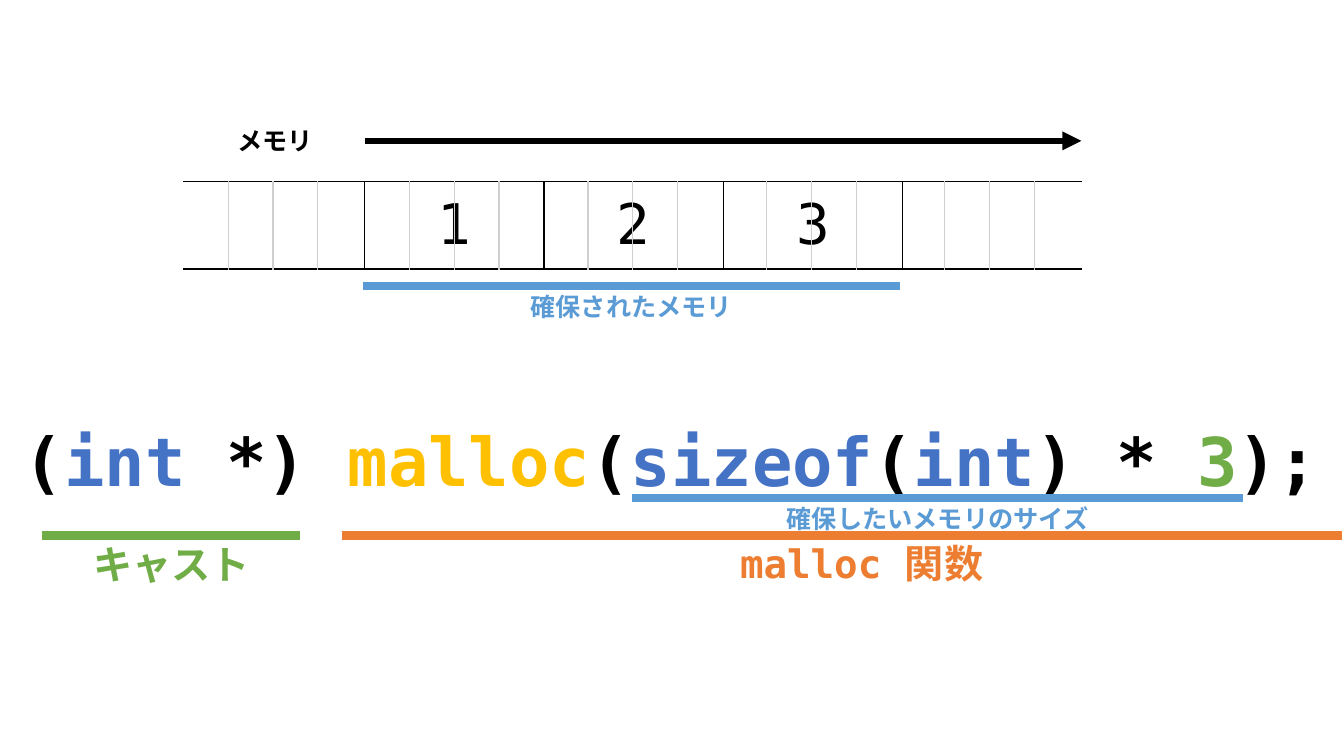
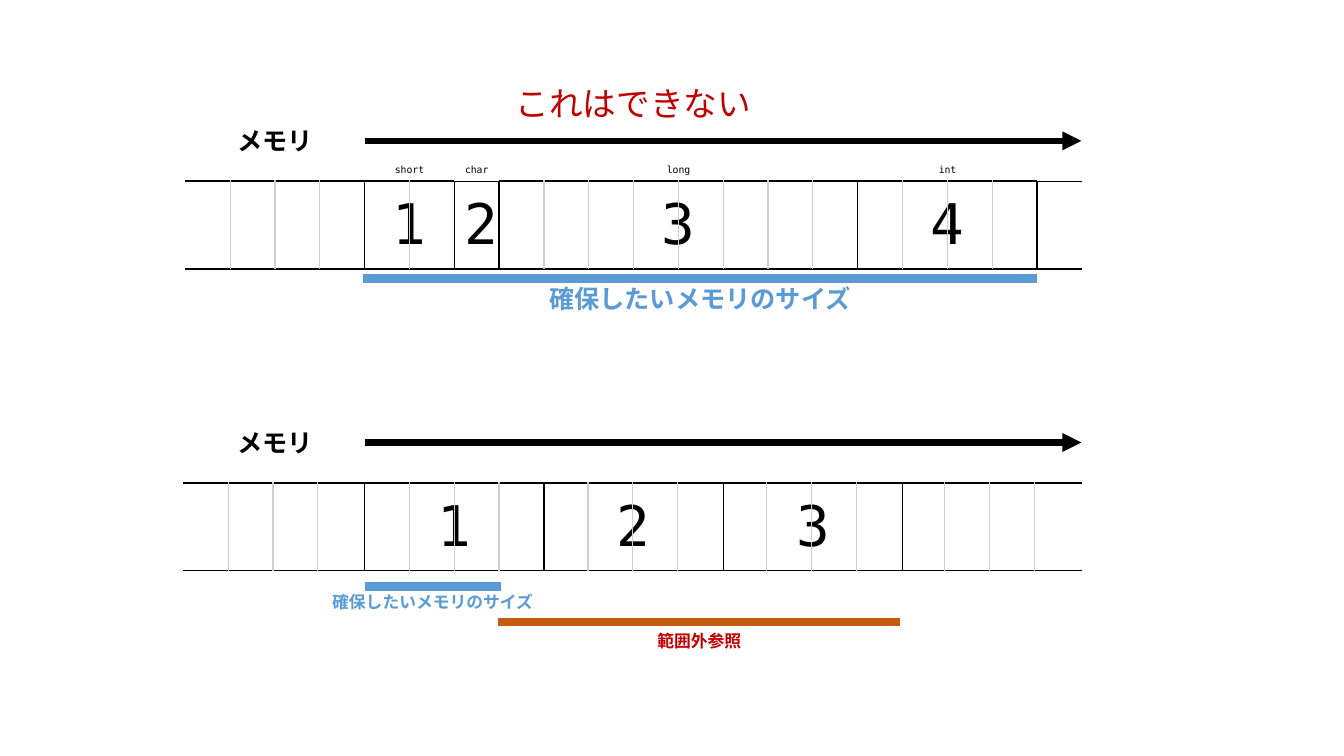
from itertools import accumulate

from lxml import etree
from pptx import Presentation, util as u
from pptx.dml.color import RGBColor
from pptx.enum import shapes, text
from pptx.oxml import ns

BLACK = RGBColor(0x00, 0x00, 0x00)
WHITE = RGBColor(0xFF, 0xFF, 0xFF)
GREY = RGBColor(0xD0, 0xCE, 0xCE)
BLUE = RGBColor(0x5B, 0x9B, 0xD5)
NAVY = RGBColor(0x44, 0x72, 0xC4)
GOLD = RGBColor(0xFF, 0xC0, 0x00)
GREEN = RGBColor(0x70, 0xAD, 0x47)
ORANGE = RGBColor(0xED, 0x7D, 0x31)
RUST = RGBColor(0xC5, 0x5A, 0x11)
RED = RGBColor(0xC0, 0x00, 0x00)

MONO = "DejaVu Sans Mono"
SANS = "Noto Sans CJK JP"
PLAIN = "{2D5ABB26-0587-4C30-8999-92F81FD0307C}"

BYTE = 1.13
LEFT = 4.67
START = 9.19
END = 27.25
HIGH = 2.21
INT = 4
INTS = [INT] * 5
GRIDS = [(4.62, INT), (START, INT), (13.69, INT), (18.19, INT), (22.68, INT)]

CODE = {"size": u.Pt(48), "bold": True, "name": MONO}
HEAD = {"size": u.Pt(28), "bold": True, "name": MONO}
NOTE = {"size": u.Pt(18), "bold": True, "name": MONO}
SMALL = {"size": u.Pt(12), "bold": True, "name": MONO}
TITLE = {"size": u.Pt(18), "bold": True, "name": SANS}
ALERT = {"size": u.Pt(24), "bold": False, "name": SANS}
VALUE = {"size": u.Pt(40), "bold": False, "name": MONO}
TYPE = {"size": u.Pt(7), "bold": False, "name": MONO}

MIDDLE = text.MSO_ANCHOR.MIDDLE
BOX = {"word_wrap": True, "auto_size": text.MSO_AUTO_SIZE.SHAPE_TO_FIT_TEXT}


def apply(item, form):
    for key, val in form.items():
        setattr(item, key, val)


def cms(*nums):
    return [u.Cm(num) for num in nums]


def sub(node, tag, **attrs):
    return etree.SubElement(node, ns.qn(tag), attrs)


def write(frame, parts, form):
    para = frame.paragraphs[0]
    para.alignment = text.PP_ALIGN.CENTER
    for words, color in parts:
        run = para.add_run()
        run.text = words
        apply(run.font, form)
        run.font.color.rgb = color
        sub(run.font._element, "a:ea", typeface=SANS)


def label(slide, x, y, w, h, words, form, color=BLACK, anchor=text.MSO_ANCHOR.TOP):
    frame = slide.shapes.add_textbox(*cms(x, y, w, h)).text_frame
    apply(frame, {**BOX, "vertical_anchor": anchor})
    write(frame, [(words, color)], form)


def panel(slide, x, y, w, h):
    shape = slide.shapes.add_shape(shapes.MSO_SHAPE.RECTANGLE, *cms(x, y, w, h))
    shape.shadow.inherit = False
    shape.fill.solid()
    shape.fill.fore_color.rgb = WHITE
    shape.line.color.rgb = WHITE
    shape.line.width = u.Pt(1)
    return shape


def bar(slide, x, y, w, color, width=6, arrow=False):
    line = slide.shapes.add_connector(
        shapes.MSO_CONNECTOR.STRAIGHT, *cms(x, y, x + w, y))
    line.line.color.rgb = color
    line.line.width = u.Pt(width)
    if arrow:
        sub(line.line._get_or_add_ln(), "a:tailEnd", type="triangle")
    sub(line._element.spPr, "a:effectLst")


def caption(slide, x, y, w, words, form, color, pad=0):
    bar(slide, x, y, w, color)
    label(slide, x - pad, y, w + 2 * pad, 1.02, words, form, color)


def edge(props, side, color):
    line = sub(props, "a:" + side, w=str(u.Pt(1)))
    sub(sub(line, "a:solidFill"), "a:srgbClr", val=str(color))


def strip(slide, x, y, sizes, color, values=None):
    count = len(sizes)
    frame = slide.shapes.add_table(
        1, count, *cms(x, y, sum(sizes) * BYTE, HIGH))
    table = frame.table
    apply(table, {"first_row": False, "horz_banding": False})
    for style in frame._element.iter(ns.qn("a:tableStyleId")):
        style.text = PLAIN
    table.rows[0].height = u.Cm(HIGH)
    for i, size in enumerate(sizes):
        table.columns[i].width = u.Cm(size * BYTE)
        cell = table.cell(0, i)
        cell.vertical_anchor = MIDDLE
        props = cell._tc.get_or_add_tcPr()
        if i > 0:
            edge(props, "lnL", color)
        if i < count - 1:
            edge(props, "lnR", color)
        edge(props, "lnT", BLACK)
        edge(props, "lnB", BLACK)
        if values:
            cell.fill.solid()
            cell.fill.fore_color.rgb = WHITE
            if values[i]:
                write(cell.text_frame, [(values[i], BLACK)], VALUE)
        else:
            cell.fill.background()


def memory(slide, y, sizes, values, grids, lift=0):
    strip(slide, LEFT, y, sizes, BLACK, values)
    bar(slide, START, y - 1.02, END - START, BLACK, 4.5, True)
    label(slide, LEFT, y - 1.53, INT * BYTE, 1.02, "メモリ", TITLE, anchor=MIDDLE)
    for x, count in grids:
        strip(slide, x, y - lift, [1] * count, GREY)


def call(slide):
    frame = panel(slide, 0, 8.28, 33.83, 6.63).text_frame
    frame.vertical_anchor = MIDDLE
    write(frame, [
        ("(", BLACK), ("int ", NAVY), ("*) ", BLACK), ("malloc", GOLD),
        ("(", BLACK), ("sizeof", NAVY), ("(", BLACK), ("int", NAVY),
        (") * ", BLACK), ("3", GREEN), (");", BLACK)], CODE)
    caption(slide, 15.93, 12.55, 15.39, "確保したいメモリのサイズ", NOTE, BLUE)
    bar(slide, 8.61, 13.49, 25.22, ORANGE)
    label(slide, 9.14, 13.46, 25.15, 1.45, "malloc 関数", HEAD, ORANGE)
    caption(slide, 1.07, 13.49, 6.5, "キャスト", HEAD, GREEN)


def malloc(slide):
    call(slide)
    panel(slide, 4.09, 2.44, 23.65, 5.84)
    memory(slide, 4.57, INTS, ["", "1", "2", "3", ""], GRIDS)
    caption(slide, 9.14, 7.21, 13.54, "確保されたメモリ", NOTE, BLUE)


def mixed(slide):
    sizes = [4, 2, 1, 8, 4, 1]
    names = ["", "short", "char", "long", "int", ""]
    starts = [LEFT + n * BYTE for n in accumulate(sizes, initial=0)]
    grids = [(x, n) for x, n in zip(starts, sizes) if n > 1]
    memory(slide, 4.57, sizes, ["", "1", "2", "3", "4", ""], grids, 0.02)
    for x, size, name in zip(starts, sizes, names):
        if name:
            label(slide, x, 4, size * BYTE, 0.55, name, TYPE, anchor=MIDDLE)
    label(slide, LEFT, 1.96, 22.58, 1.28, "これはできない", ALERT, RED)
    caption(slide, 9.14, 7.02, 17, "確保したいメモリのサイズ", NOTE, BLUE)


def beyond(slide):
    panel(slide, 4.09, 10.03, 23.65, 6.63)
    memory(slide, 12.17, INTS, ["", "1", "2", "3", ""], GRIDS)
    caption(slide, START, 14.78, 3.43, "確保したいメモリのサイズ", SMALL, BLUE, 1.2)
    bar(slide, 12.55, 15.67, 10.13, RUST)
    label(slide, 12.57, 15.77, 10.11, 0.76, "範囲外参照", SMALL, RED)


def main():
    deck = Presentation()
    apply(deck, {"slide_width": u.Cm(33.87), "slide_height": u.Cm(19.05)})
    for parts in ([malloc], [mixed, beyond]):
        slide = deck.slides.add_slide(deck.slide_layouts[6])
        for draw in parts:
            draw(slide)
    deck.save("out.pptx")


main()
